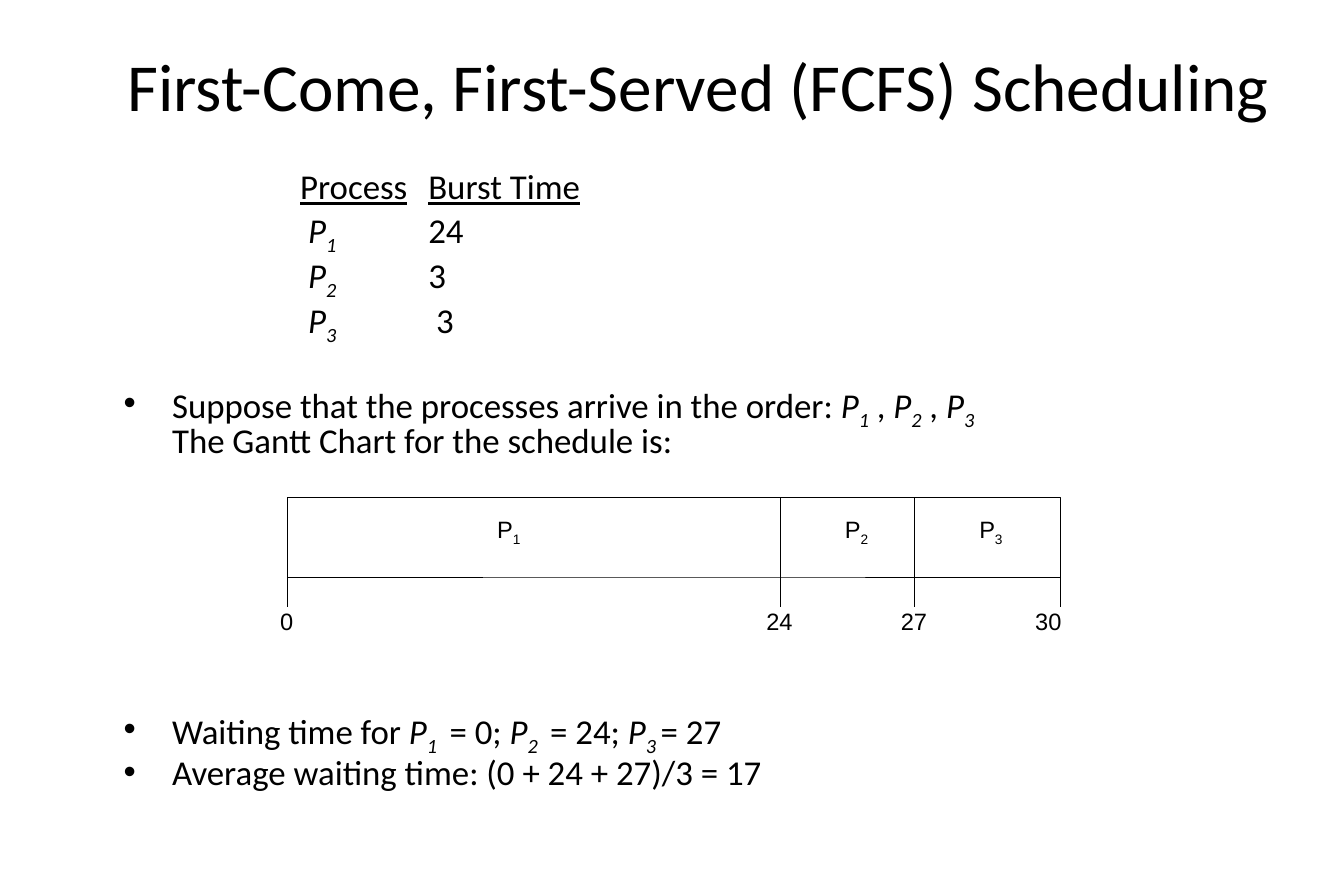
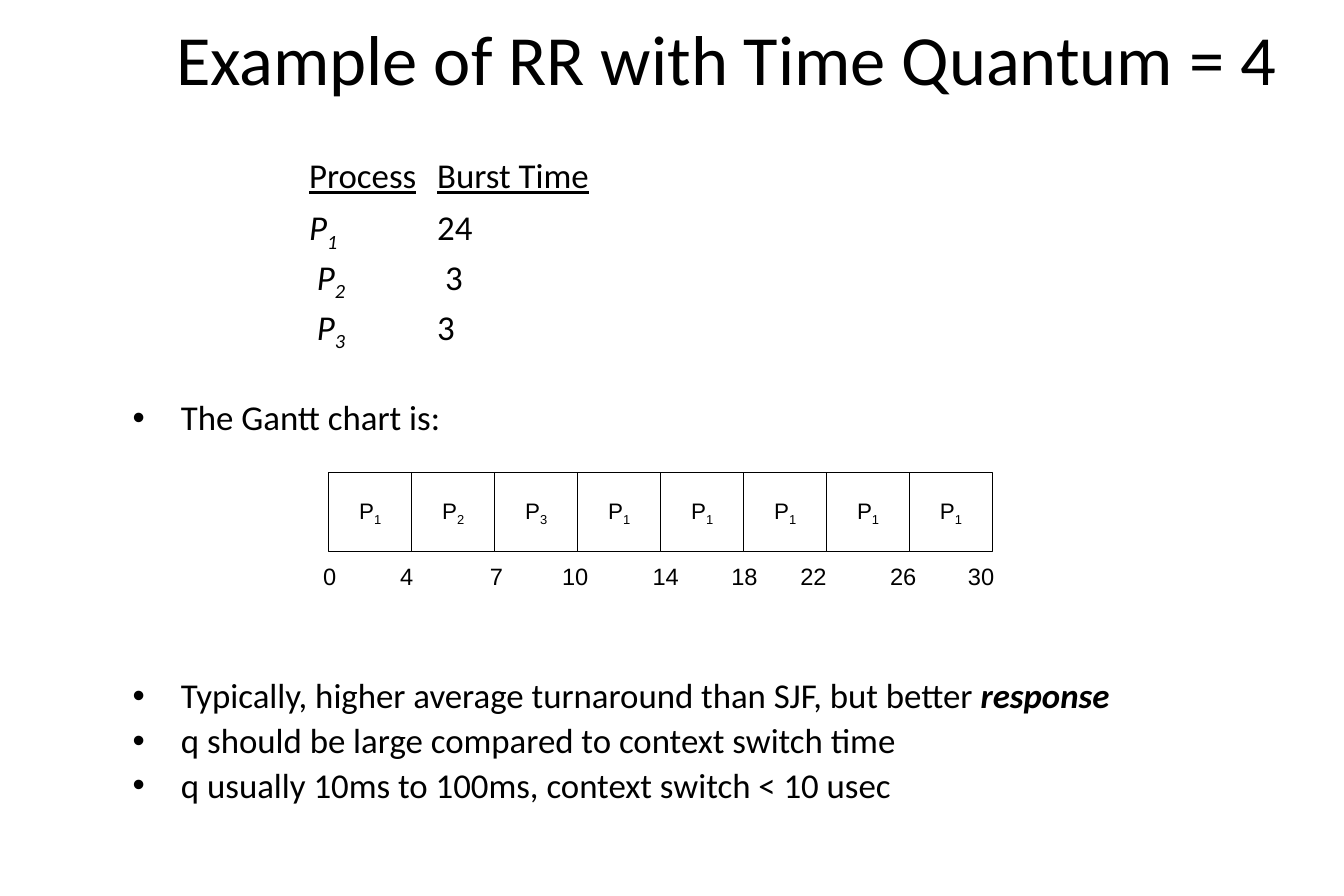
from lxml.etree import SubElement
from pptx import Presentation
from pptx.dml.color import RGBColor
from pptx.enum.shapes import MSO_CONNECTOR, MSO_SHAPE
from pptx.enum.text import MSO_ANCHOR as Anchor, PP_ALIGN as Align
from pptx.oxml.ns import qn
from pptx.util import Inches, Pt

WIDTH, HEIGHT = 15, 10
COLUMNS, ROWS = 150, 100
INK, PAPER = "000000", "FFFFFF"
BODY_SIZE, BODY_GAP, BULLET_INDENT = 28, 5.6, 5.4
TAB_STOPS = (19.7, 34)
FORMATS = {
    "plain": {},
    "underline": {"underline": True},
    "italic": {"italic": True},
    "strong": {"bold": True, "italic": True},
    "subscript": {"italic": True},
    "index": {},
}
BASELINES = {"subscript": "-25000", "index": "-25000"}


def color(value):
    return RGBColor.from_string(value)


def columns(count):
    return Inches(count * WIDTH / COLUMNS)


def rows(count):
    return Inches(count * HEIGHT / ROWS)


def process(number, gap=""):
    return [("P", "italic"), (f"{number}{gap}", "subscript")]


def plain(text):
    return [(text, "plain")]


def gantt_name(number):
    return [("P", "plain"), (str(number), "index")]


class Deck:
    def __init__(self):
        self.presentation = Presentation()
        self.presentation.slide_width = Inches(WIDTH)
        self.presentation.slide_height = Inches(HEIGHT)
        self.slide = None

    def add_slide(self):
        layout = self.presentation.slide_layouts[6]
        self.slide = self.presentation.slides.add_slide(layout)

    def add_runs(self, paragraph, runs, size, font):
        for text, style in runs:
            if text == "\n":
                paragraph.add_line_break()
                continue
            run = paragraph.add_run()
            run.text = text
            settings = {"name": font, "size": Pt(size), **FORMATS[style]}
            for name, value in settings.items():
                setattr(run.font, name, value)
            run.font.color.rgb = color(INK)
            if style in BASELINES:
                run._r.get_or_add_rPr().set("baseline", BASELINES[style])

    def frame(self, left, top, width, height, **settings):
        box = self.slide.shapes.add_textbox(
            columns(left), rows(top), columns(width), rows(height))
        for name, value in settings.items():
            setattr(box.text_frame, name, value)
        return box.text_frame

    def block(self, left, top, width, height):
        return self.frame(
            left, top, width, height, word_wrap=True,
            margin_left=columns(1.4), margin_right=columns(1.4),
            margin_top=rows(0.7), margin_bottom=rows(0.7))

    def title(self, text, left, top, width, height, size):
        frame = self.block(left, top, width, height)
        frame.vertical_anchor = Anchor.MIDDLE
        paragraph = frame.paragraphs[0]
        paragraph.alignment = Align.CENTER
        self.add_runs(paragraph, plain(text), size, "Calibri")

    def body(self, left, top, width, height, spacing, entries):
        frame = self.block(left, top, width, height)
        for number, (kind, gap, runs) in enumerate(entries):
            paragraph = frame.add_paragraph() if number else frame.paragraphs[0]
            paragraph.line_spacing = spacing
            paragraph.space_before = Pt(gap)
            properties = paragraph._p.get_or_add_pPr()
            if kind == "bullet":
                indent = columns(BULLET_INDENT)
                properties.set("marL", str(indent))
                properties.set("indent", str(-indent))
                SubElement(properties, qn("a:buFont"), typeface="Arial")
                SubElement(properties, qn("a:buChar"), char="•")
            else:
                tabs = SubElement(properties, qn("a:tabLst"))
                for stop in TAB_STOPS:
                    SubElement(tabs, qn("a:tab"), pos=str(columns(stop)), algn="l")
            self.add_runs(paragraph, runs, BODY_SIZE, "Calibri")

    def label(self, runs, center, top):
        frame = self.frame(center - 2.5, top, 5, 4.2, word_wrap=False,
                           vertical_anchor=Anchor.MIDDLE)
        frame.paragraphs[0].alignment = Align.CENTER
        self.add_runs(frame.paragraphs[0], runs, 19, "Arial")

    def bar(self, left, top, width, height, runs=()):
        shape = self.slide.shapes.add_shape(
            MSO_SHAPE.RECTANGLE, columns(left), rows(top),
            columns(width), rows(height))
        shape.shadow.inherit = False
        shape.fill.solid()
        shape.fill.fore_color.rgb = color(PAPER)
        shape.line.color.rgb = color(INK)
        shape.line.width = Pt(0.75)
        shape.text_frame.word_wrap = False
        shape.text_frame.vertical_anchor = Anchor.MIDDLE
        paragraph = shape.text_frame.paragraphs[0]
        paragraph.alignment = Align.CENTER
        self.add_runs(paragraph, runs, 18, "Arial")

    def vertical(self, position, top, bottom):
        line = self.slide.shapes.add_connector(
            MSO_CONNECTOR.STRAIGHT, columns(position), rows(top),
            columns(position), rows(bottom))
        line.line.color.rgb = color(INK)
        line.line.width = Pt(0.75)
        SubElement(line._element.spPr, qn("a:effectLst"))


def table_entries(first_gap, burst_times, leads):
    heading = [("\t", "plain"), ("Process", "underline"),
               ("\t", "plain"), ("Burst Time", "underline")]
    entries = [("row", 0, heading)]
    for number, (burst, lead) in enumerate(zip(burst_times, leads), 1):
        gap = first_gap if number == 1 else BODY_GAP
        runs = plain("\t" + lead) + process(number) + plain("\t" + burst)
        entries.append(("row", gap, runs))
    return entries


def first_come_slide(deck):
    deck.add_slide()
    deck.title("First-Come, First-Served (FCFS) Scheduling",
               12.3, 6.1, 131.3, 6.7, 54)
    order = (plain("Suppose that the processes arrive in the order: ")
             + process(1) + plain(" , ") + process(2) + plain(" , ")
             + process(3) + plain("\n")
             + plain("The Gantt Chart for the schedule is:"))
    waiting = (plain("Waiting time for ") + process(1, " ") + plain(" = 0; ")
               + process(2, " ") + plain(" = 24; ")
               + process(3, " ") + plain("= 27"))
    average = plain("Average waiting time: (0 + 24 + 27)/3 = 17")
    deck.body(12.4, 18.6, 124.1, 72.2, 0.8,
              table_entries(BODY_GAP, ("24", "3", " 3"), (" ", " ", " ")) + [
                  ("bullet", 37.7, order),
                  ("bullet", 204, waiting),
                  ("bullet", BODY_GAP, average)])
    edges = (32.1, 87.1, 102.1, 118.4)
    top, bottom = 55.5, 64.4
    deck.bar(edges[0], top, edges[-1] - edges[0], bottom - top)
    for edge in edges[1:-1]:
        deck.vertical(edge, top, bottom)
    for edge in edges:
        deck.vertical(edge, bottom, 67.7)
    for number, center in enumerate((56.8, 95.6, 110.6), 1):
        deck.label(gantt_name(number), center, 57.2)
    for time, center in zip((0, 24, 27, 30), (32, 87, 102, 117)):
        deck.label(plain(str(time)), center, 67.2)


def round_robin_slide(deck):
    deck.add_slide()
    deck.title("Example of RR with Time Quantum = 4",
               15, 0.3, 132.1, 12.3, 56.7)
    response = (plain("Typically, higher average turnaround than SJF, but better ")
                + [("response", "strong")])
    deck.body(13.4, 17, 120.6, 76, 0.9,
              table_entries(8, ("24", " 3", "3"), ("", " ", " ")) + [
                  ("bullet", 42, plain("The Gantt chart is:")),
                  ("bullet", 193, response),
                  ("bullet", BODY_GAP,
                   plain("q should be large compared to context switch time")),
                  ("bullet", BODY_GAP,
                   plain("q usually 10ms to 100ms, context switch < 10 usec"))])
    cell_width = 9.26
    for position, number in enumerate((1, 2, 3, 1, 1, 1, 1, 1)):
        deck.bar(36.7 + position * cell_width, 52.7, cell_width, 8.9,
                 gantt_name(number))
    times = (0, 4, 7, 10, 14, 18, 22, 26, 30)
    centers = (36.8, 45.4, 55.4, 64.2, 74.3, 83.1, 90.8, 100.8, 109.5)
    for time, center in zip(times, centers):
        deck.label(plain(str(time)), center, 62.2)


def main():
    deck = Deck()
    first_come_slide(deck)
    round_robin_slide(deck)
    deck.presentation.save("out.pptx")


if __name__ == "__main__":
    main()
